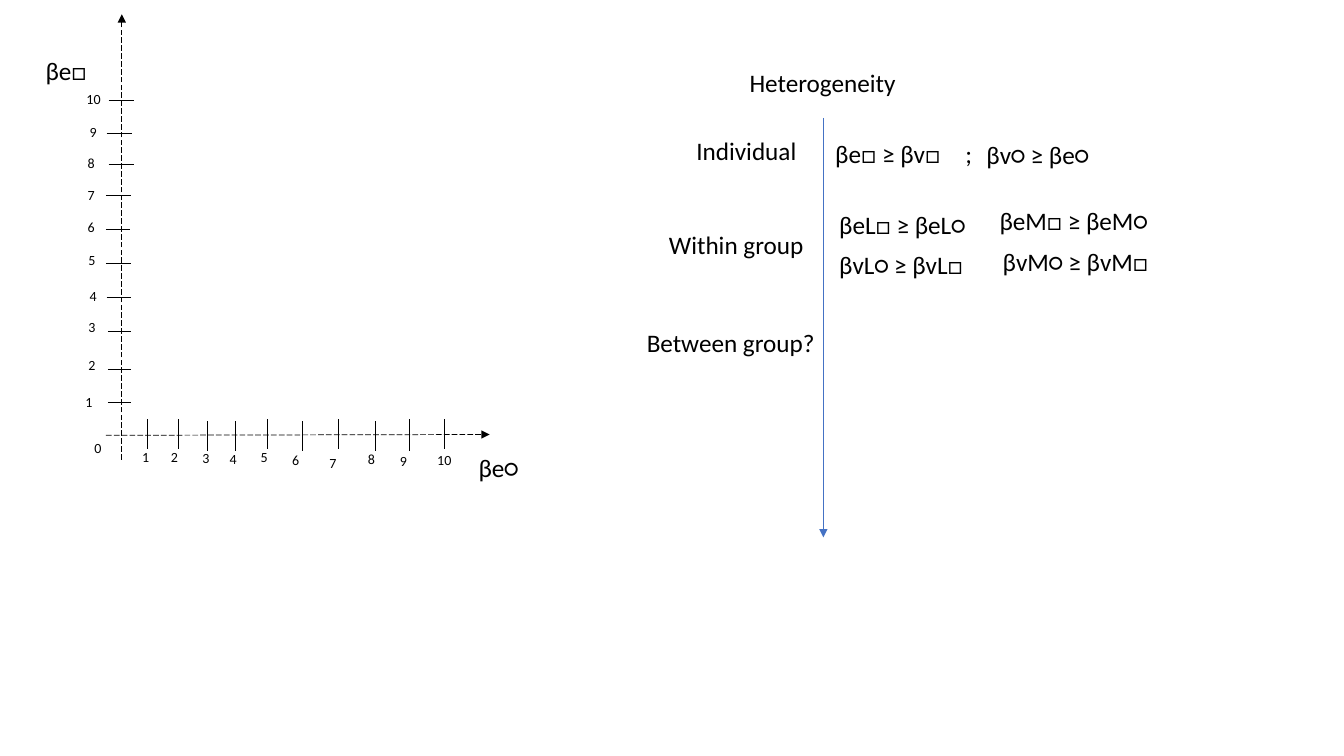
from lxml import etree
from pptx import Presentation
from pptx.dml.color import RGBColor
from pptx.enum.dml import MSO_LINE
from pptx.enum.shapes import MSO_CONNECTOR
from pptx.enum.text import MSO_AUTO_SIZE
from pptx.oxml.ns import qn
from pptx.util import Cm, Pt

STRAIGHT = MSO_CONNECTOR.STRAIGHT
DASH = MSO_LINE.LONG_DASH
GROW = MSO_AUTO_SIZE.SHAPE_TO_FIT_TEXT
BLACK, BLUE = "000000", "4472C4"
TITLE_H = 1.02
NUMBER_W, NUMBER_H = 0.97, 0.68

# Per number 1-10: tick start x, tick y, tick length, label x, label y
VERTICAL_SCALE = [
    (1.82, 9.77, 0.59, 1.00, 9.42), (1.82, 8.94, 0.59, 1.08, 8.50),
    (1.82, 8.00, 0.59, 1.08, 7.54), (1.79, 7.13, 0.61, 1.11, 6.75),
    (1.77, 6.27, 0.63, 1.08, 5.86), (1.77, 5.43, 0.61, 1.06, 5.02),
    (1.77, 4.57, 0.63, 1.06, 4.21), (1.84, 3.78, 0.63, 1.06, 3.42),
    (1.79, 2.99, 0.63, 1.11, 2.64), (1.84, 2.18, 0.63, 1.03, 1.80),
]
# Per number 1-10: tick x, tick start y, tick length, label x, label y
HORIZONTAL_SCALE = [
    (2.81, 10.21, 0.74, 2.43, 10.82), (3.60, 10.21, 0.74, 3.16, 10.82),
    (4.33, 10.26, 0.74, 3.95, 10.84), (5.04, 10.26, 0.74, 4.64, 10.87),
    (5.83, 10.21, 0.74, 5.42, 10.82), (6.72, 10.26, 0.74, 6.21, 10.89),
    (7.63, 10.21, 0.74, 7.15, 10.97), (8.55, 10.26, 0.74, 8.12, 10.87),
    (9.41, 10.21, 0.79, 8.93, 10.92), (10.30, 10.21, 0.74, 9.87, 10.89),
]
# Text, x, y, width, wrap
HETEROGENEITY = [
    ("Heterogeneity", 2.59, 0, 4.24, False),
    ("Individual", 1.25, 1.71, 3.07, False),
    ("Within group", 0.56, 4.09, 3.94, False),
    ("Between group?", 0, 6.56, 4.80, False),
    ("βe□ ≥ βv□", 4.75, 1.78, 3.43, True),
    (";", 8.03, 1.78, 1.09, True),
    ("βv○ ≥ βe○", 8.56, 1.81, 3.43, True),
    ("βeL□ ≥ βeL○", 4.85, 3.59, 4.06, True),
    ("βvL○ ≥ βvL□", 4.85, 4.60, 4.06, True),
    ("βeM□ ≥ βeM○", 8.89, 3.48, 4.67, True),
    ("βvM○ ≥ βvM□", 8.97, 4.50, 4.62, True),
]


def rgb(value):
    """Turn a hex string into a colour."""
    return RGBColor.from_string(value)


def add_line(s, box, start, end, color=BLACK, dash=None, arrow=False):
    """Draw a thin line between two points given relative to the box."""
    left, top = box
    sp = s.shapes.add_connector(
        STRAIGHT, Cm(left + start[0]), Cm(top + start[1]),
        Cm(left + end[0]), Cm(top + end[1]))
    sp.line.color.rgb = rgb(color)
    for name, value in {"width": Pt(0.5), "dash_style": dash}.items():
        setattr(sp.line, name, value)
    if arrow:
        ln = sp.line._get_or_add_ln()
        etree.SubElement(ln, qn("a:tailEnd"), type="triangle")
    etree.SubElement(sp._element.spPr, qn("a:effectLst"))


def add_text(s, box, text, x, y, w, h=TITLE_H, size=18, wrap=True):
    """Write one line of text at a place relative to the box."""
    left, top = box
    sp = s.shapes.add_textbox(Cm(left + x), Cm(top + y), Cm(w), Cm(h))
    tf = sp.text_frame
    for name, value in {"word_wrap": wrap, "auto_size": GROW}.items():
        setattr(tf, name, value)
    r = tf.paragraphs[0].add_run()
    r.text = text
    for name, value in {"name": "Calibri", "size": Pt(size)}.items():
        setattr(r.font, name, value)
    r.font.color.rgb = rgb(BLACK)


def add_number(s, box, number, x, y):
    """Write a small scale number."""
    add_text(s, box, str(number), x, y, NUMBER_W, NUMBER_H, size=10)


def add_axes(s, box):
    """Build the empty diagram with its two numbered axes."""
    add_line(s, box, (2.17, 11.22), (2.17, 0), dash=DASH, arrow=True)
    add_line(s, box, (1.77, 10.61), (11.44, 10.59), dash=DASH, arrow=True)
    add_text(s, box, "βe□", 0, 0.91, 1.75)
    add_text(s, box, "βe○", 10.91, 10.92, 1.68)
    add_number(s, box, 0, 1.23, 10.59)
    for scale, dx, dy in ((VERTICAL_SCALE, 1, 0), (HORIZONTAL_SCALE, 0, 1)):
        for number, (x, y, length, label_x, label_y) in enumerate(scale, 1):
            add_line(s, box, (x, y), (x + dx * length, y + dy * length))
            add_number(s, box, number, label_x, label_y)


def add_heterogeneity(s, box):
    """Build the list of heterogeneity levels along a downward arrow."""
    add_line(s, box, (4.7, 1.4), (4.7, 11.97), color=BLUE, arrow=True)
    for text, x, y, w, wrap in HETEROGENEITY:
        add_text(s, box, text, x, y, w, wrap=wrap)


def main():
    """Create the presentation and save it."""
    prs = Presentation()
    prs.slide_width, prs.slide_height = Cm(33.87), Cm(19.05)
    s = prs.slides.add_slide(prs.slide_layouts[6])
    add_axes(s, (0.9, 0.36))
    add_heterogeneity(s, (16.05, 1.57))
    prs.save("out.pptx")


main()
